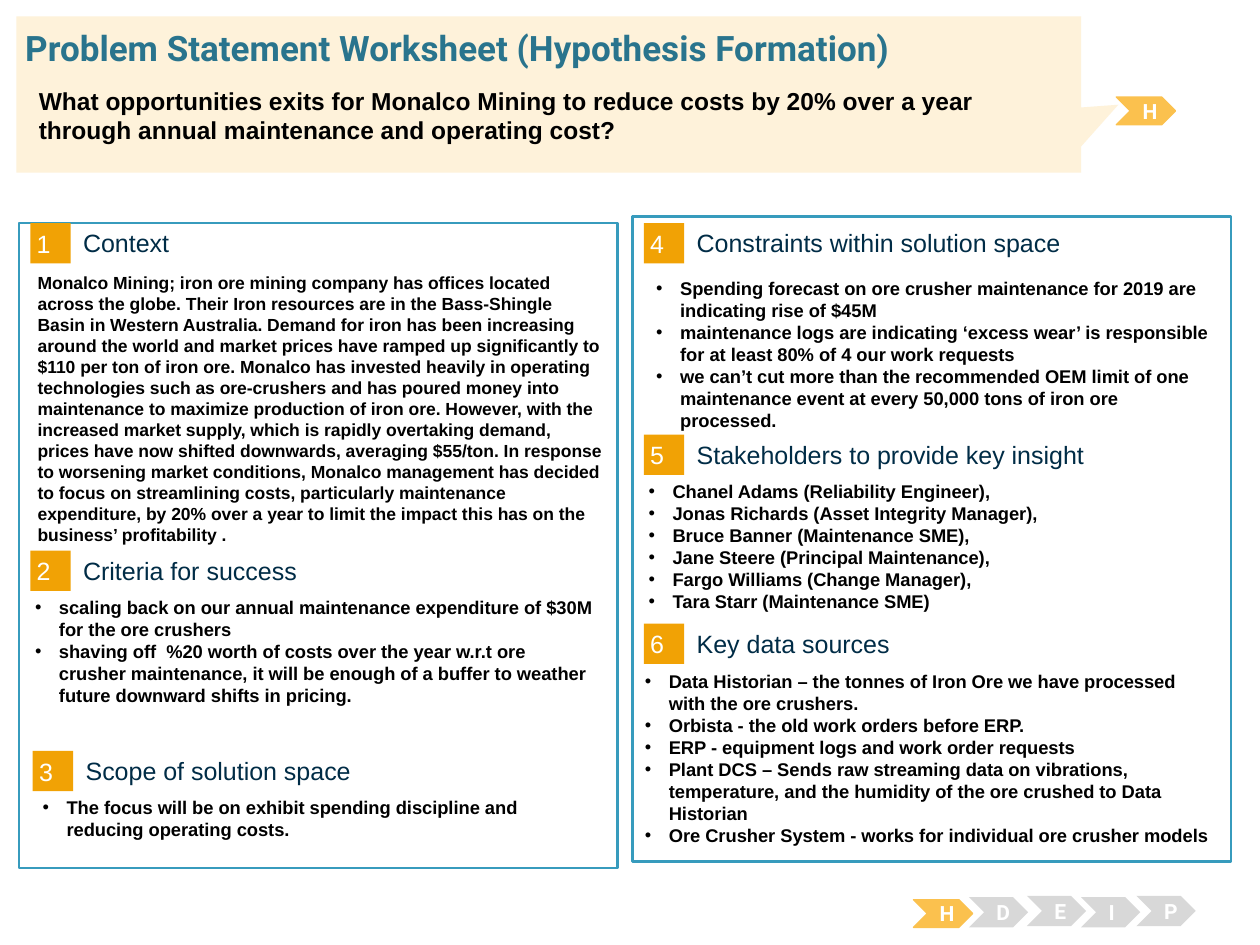
from pptx import Presentation
from pptx.dml.color import RGBColor
from pptx.enum.shapes import MSO_SHAPE
from pptx.enum.text import MSO_ANCHOR, PP_ALIGN
from pptx.oxml.ns import qn
from pptx.util import Inches, Pt
from lxml import etree

prs = Presentation()
prs.slide_width, prs.slide_height = Inches(10), Inches(7.5)
s = prs.slides.add_slide(prs.slide_layouts[6])


def add_box(kind, at, fill, line=None, width=0.75):
    sp = s.shapes.add_shape(kind, *[Inches(v) for v in at])
    sp.shadow.inherit = False
    sp.fill.solid()
    sp.fill.fore_color.rgb = RGBColor.from_string(fill)
    if line:
        sp.line.color.rgb = RGBColor.from_string(line)
        sp.line.width = Pt(width)
    else:
        sp.line.fill.background()
    return sp


def write(target, lines, size, color, bold=False, font="Arial", inset=(0.1, 0.05),
          anchor=MSO_ANCHOR.TOP, align=PP_ALIGN.LEFT, bullet=False):
    sp = target
    if isinstance(target, tuple):
        sp = s.shapes.add_textbox(*[Inches(v) for v in target])
    tf = sp.text_frame
    x, y = [Inches(v) for v in inset]
    frame = {"word_wrap": True, "vertical_anchor": anchor, "margin_left": x,
             "margin_right": x, "margin_top": y, "margin_bottom": y}
    for key, value in frame.items():
        setattr(tf, key, value)
    for i, line in enumerate(lines):
        p = tf.add_paragraph() if i else tf.paragraphs[0]
        p.alignment = align
        r = p.add_run()
        r.text = line
        for key, value in {"size": Pt(size), "bold": bold, "name": font}.items():
            setattr(r.font, key, value)
        r.font.color.rgb = RGBColor.from_string(color)
        if bullet:
            pPr = p._p.get_or_add_pPr()
            pPr.set("marL", str(Inches(0.19)))
            pPr.set("indent", str(-Inches(0.19)))
            etree.SubElement(pPr, qn("a:buFont")).set("typeface", "Arial")
            etree.SubElement(pPr, qn("a:buChar")).set("char", "•")


for x, y in [(0.15, 1.77), (5.02, 1.72)]:
    add_box(MSO_SHAPE.RECTANGLE, (x, y, 4.75, 5.12), "FFFFFF", "379BBD", 1.5)

sections = [
    (0.24, 1.77, "Context"),
    (0.24, 4.37, "Criteria for success"),
    (0.26, 5.96, "Scope of solution space"),
    (5.11, 1.77, "Constraints within solution space"),
    (5.11, 3.45, "Stakeholders to provide key insight"),
    (5.11, 4.95, "Key data sources"),
]
for n, (x, y, heading) in enumerate(sections, 1):
    sp = add_box(MSO_SHAPE.RECTANGLE, (x, y, 0.32, 0.32), "F1A205")
    write(sp, [str(n)], 14.3, "FFFFFF", inset=(0.05, 0.05), anchor=MSO_ANCHOR.MIDDLE)
    write((x + 0.42, y + 0.03, 3.93, 0.25), [heading], 14.3, "002C46",
          inset=(0, 0), anchor=MSO_ANCHOR.MIDDLE)

context = (
    "Monalco Mining; iron ore mining company has offices located across the globe. "
    "Their Iron resources are in the Bass-Shingle Basin in Western Australia. "
    "Demand for iron has been increasing around the world and market prices have "
    "ramped up significantly to $110 per ton of iron ore. Monalco has invested "
    "heavily in operating technologies such as ore-crushers and has poured money "
    "into maintenance to maximize production of iron ore. However, with the "
    "increased market supply, which is rapidly overtaking demand, prices have now "
    "shifted downwards, averaging $55/ton. In response to worsening market "
    "conditions, Monalco management has decided to focus on streamlining costs, "
    "particularly maintenance expenditure, by 20% over a year to limit the impact "
    "this has on the business’ profitability ."
)
write((0.2, 2.11, 4.68, 2.22), [context], 10, "000000", bold=True)

bullet_lists = [
    ((0.18, 4.68, 4.63, 1.21), [
        "scaling back on our annual maintenance expenditure of $30M for the ore crushers",
        "shaving off  %20 worth of costs over the year w.r.t ore crusher maintenance, "
        "it will be enough of a buffer to weather future downward shifts in pricing.",
    ]),
    ((0.24, 6.27, 4.55, 0.42), [
        "The focus will be on exhibit spending discipline and reducing operating costs.",
    ]),
    ((5.11, 2.15, 4.61, 1.18), [
        "Spending forecast on ore crusher maintenance for 2019 are indicating rise of $45M",
        "maintenance logs are indicating ‘excess wear’ is responsible for at least 80% "
        "of 4 our work requests",
        "we can’t cut more than the recommended OEM limit of one maintenance event at "
        "every 50,000 tons of iron ore processed.",
    ]),
    ((5.05, 3.76, 4.73, 1.14), [
        "Chanel Adams (Reliability Engineer),",
        "Jonas Richards (Asset Integrity Manager),",
        "Bruce Banner (Maintenance SME),",
        "Jane Steere (Principal Maintenance),",
        "Fargo Williams (Change Manager),",
        "Tara Starr (Maintenance SME)",
    ]),
    ((5.02, 5.27, 4.73, 1.47), [
        "Data Historian – the tonnes of Iron Ore we have processed with the ore crushers.",
        "Orbista - the old work orders before ERP.",
        "ERP - equipment logs and work order requests",
        "Plant DCS – Sends raw streaming data on vibrations, temperature, and the "
        "humidity of the ore crushed to Data Historian",
        "Ore Crusher System - works for individual ore crusher models",
    ]),
]
for at, lines in bullet_lists:
    write(at, lines, 10.5, "000000", bold=True, bullet=True)

sp = add_box(MSO_SHAPE.RECTANGULAR_CALLOUT, (0.13, 0.13, 8.45, 1.24), "FEF2DA")
sp.adjustments[0], sp.adjustments[1] = 0.535, 0.066

chevrons = [
    ("H", 7.25, 7.14, 0.22, "FBC14E", "FBC14E"),
    ("D", 7.69, 7.12, 0.24, "D8D8D8", None),
    ("E", 8.15, 7.11, 0.24, "D8D8D8", None),
    ("I", 8.58, 7.12, 0.24, "D8D8D8", None),
    ("P", 9.02, 7.11, 0.24, "D8D8D8", None),
    ("H", 8.86, 0.77, 0.22, "FBC14E", "FBC14E"),
]
for letter, x, y, h, fill, line in chevrons:
    sp = add_box(MSO_SHAPE.CHEVRON, (x, y, 0.47, h), fill, line)
    write(sp, [letter], 12, "FFFFFF", bold=True, font="Roboto",
          anchor=MSO_ANCHOR.MIDDLE, align=PP_ALIGN.CENTER)

write((0.2, 0.21, 9.62, 0.34), ["Problem Statement Worksheet (Hypothesis Formation)"],
      20, "29748D", bold=True, font="Roboto", inset=(0, 0))
write((0.21, 0.63, 8.17, 0.7),
      ["What opportunities exits for Monalco Mining to reduce costs by 20% over a year "
       "through annual maintenance and operating cost?"],
      14, "000000", bold=True)

prs.save("out.pptx")
